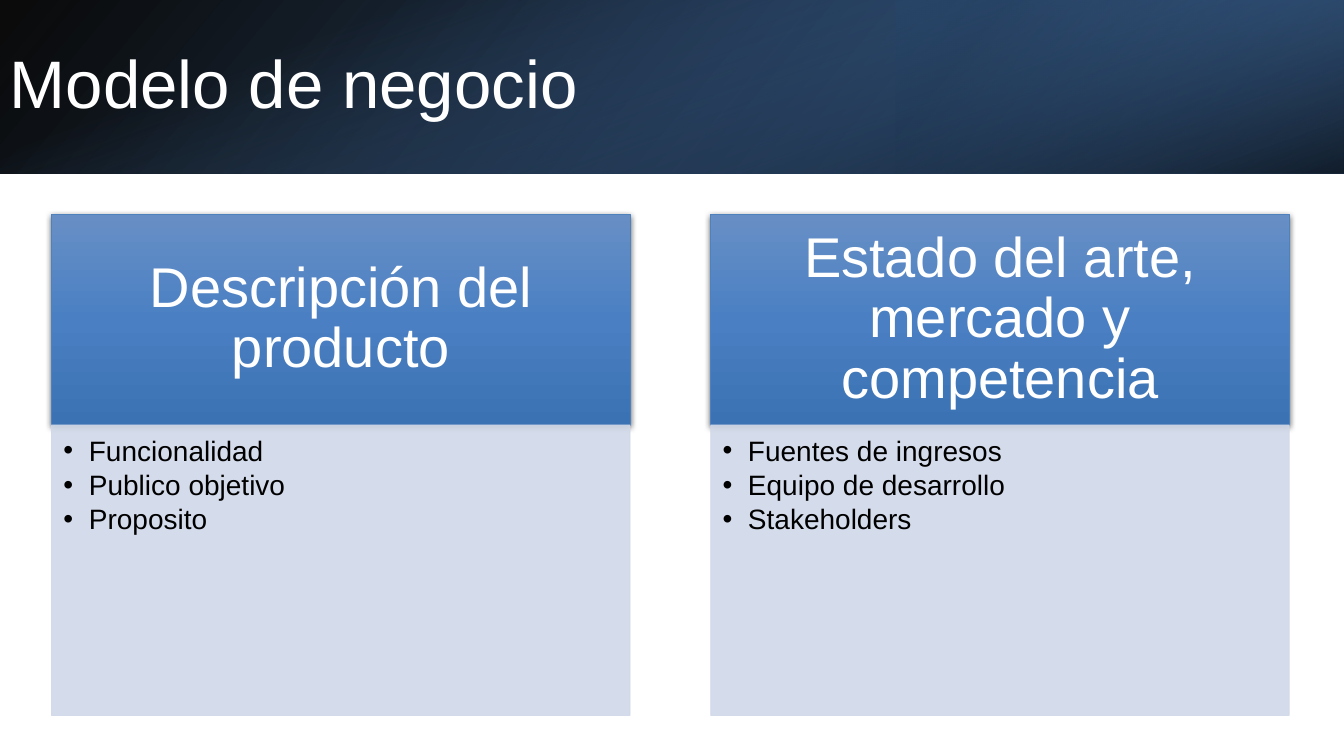
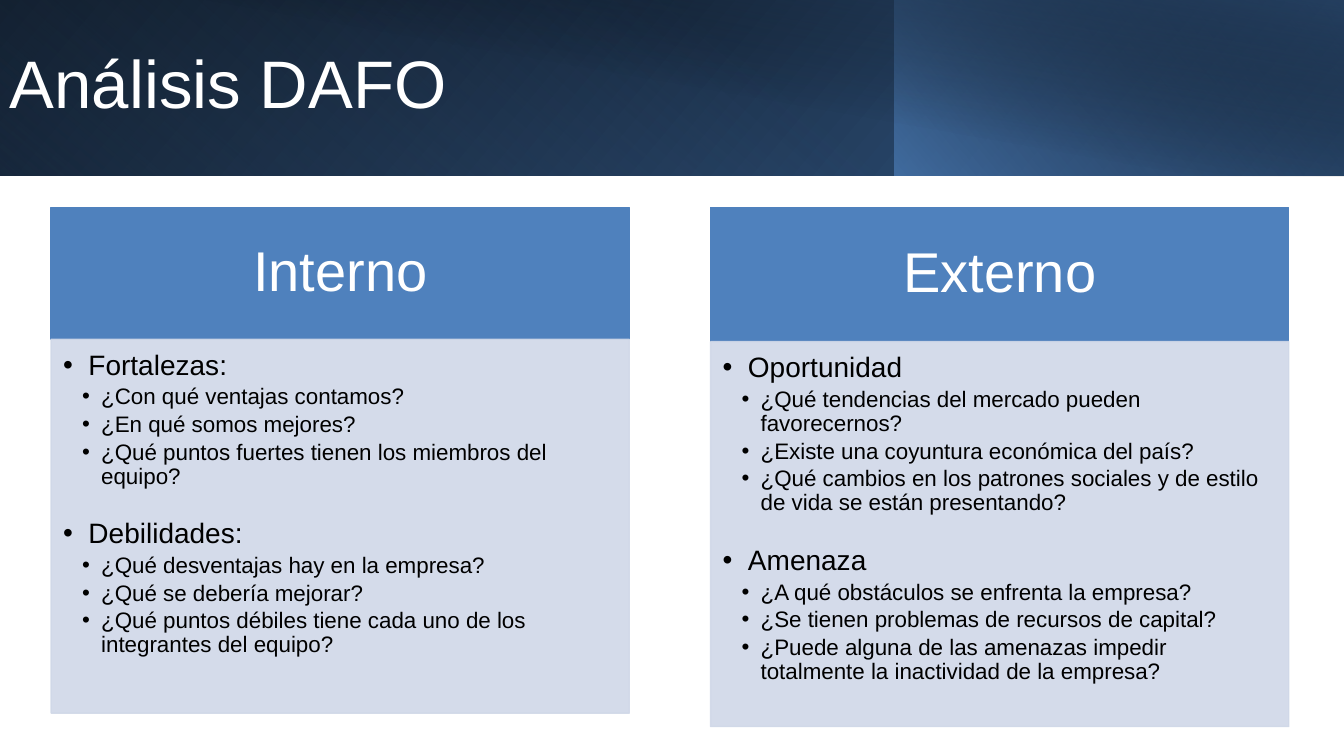
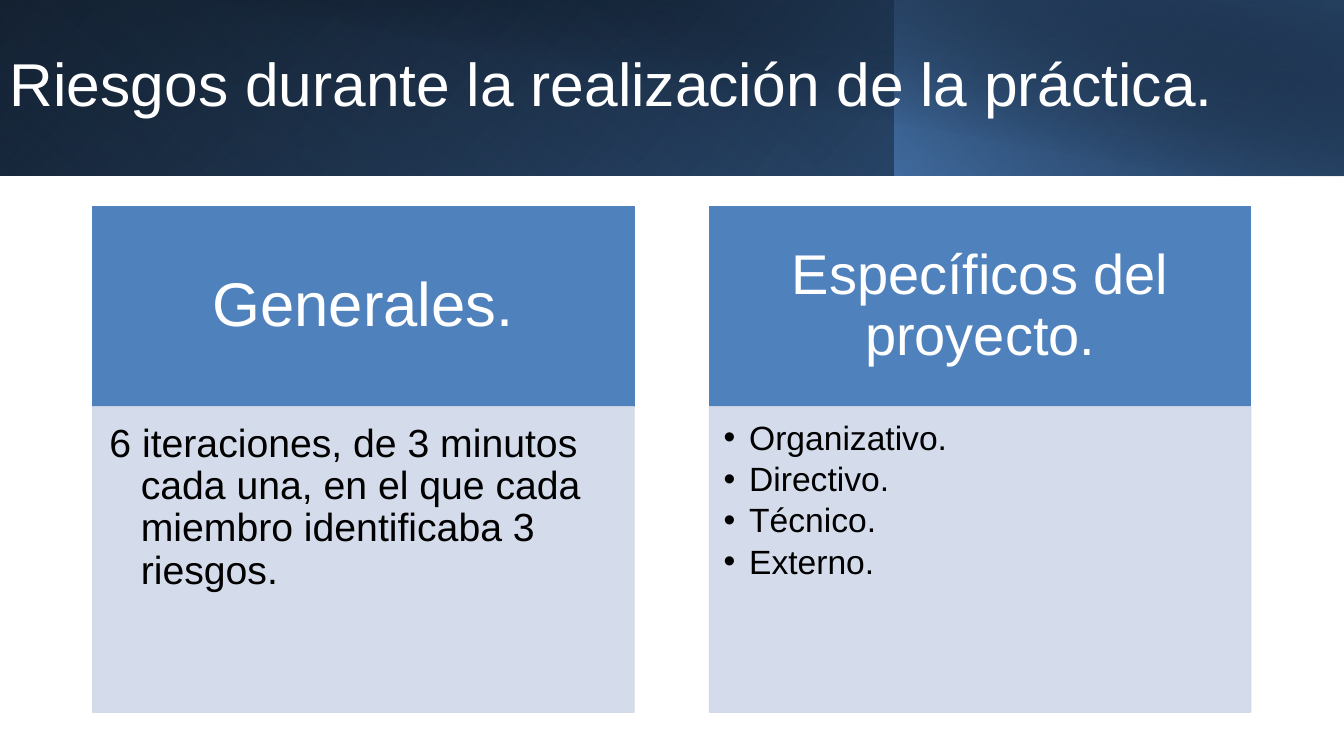
from lxml import etree
from pptx import Presentation
from pptx import util as u
from pptx.dml.color import RGBColor
from pptx.enum import shapes, text
from pptx.oxml.ns import qn

FONT = "Arial"
BLACK = RGBColor(0x00, 0x00, 0x00)
WHITE = RGBColor(0xFF, 0xFF, 0xFF)
BLUE = RGBColor(0x4F, 0x81, 0xBD)
DEEP_BLUE = RGBColor(0x37, 0x60, 0x92)
NAVY = RGBColor(0x25, 0x40, 0x61)
PALE = RGBColor(0xD0, 0xD8, 0xE8)
GLOSS = (0, RGBColor(0x68, 0x8F, 0xC5), 100), (50, RGBColor(0x4A, 0x80, 0xC3), 100), (100, RGBColor(0x3B, 0x72, 0xB3), 100)

SLIDE_W, SLIDE_H = 33.87, 19.05
TITLE_BOX = (0, 0.76, 33.5, 2.87)
BLANK_LINE = 19.5

OPENING_BAND = [
    dict(box=(0, 0, SLIDE_W, 4.37), stops=[(0, BLACK, 96), (100, DEEP_BLUE, 100)], angle=140, flip=True),
    dict(box=(22.58, 0, 11.29, 4.37), stops=[(19, NAVY, 68), (100, BLUE, 79)], angle=320, flip=True, turn=180),
    dict(box=(0, 0, SLIDE_W, 4.37), stops=[(23, BLUE, 0), (99, BLACK, 74)], angle=70),
]
INNER_BAND = [
    dict(box=(0, 0, SLIDE_W, 4.43), stops=[(0, BLACK, 100), (100, DEEP_BLUE, 100)], angle=140, flip=True),
    dict(box=(0, 0, 22.54, 4.43), stops=[(20, BLUE, 0), (100, NAVY, 55)], angle=230, flip=True, turn=180),
    dict(box=(22.54, 0, 11.33, 4.43), stops=[(0, BLUE, 66), (100, BLACK, 30)], angle=220, flip=True),
    dict(box=(1.27, 0, 32.6, 4.45), stops=[(50, BLACK, 0), (99, NAVY, 52)], angle=280),
]

SLIDES = [
    dict(
        title="Modelo de negocio", title_size=48, band=OPENING_BAND, glossy=True,
        top=5.39, width=14.58,
        panels=[
            dict(left=1.3, head="Descripción del producto", head_size=40, head_h=5.32, body_h=7.32, size=20,
                 items=["Funcionalidad", "Publico objetivo", "Proposito"]),
            dict(left=17.91, head="Estado del arte, mercado y competencia", head_size=40, head_h=5.32, body_h=7.32,
                 size=20, items=["Fuentes de ingresos", "Equipo de desarrollo", "Stakeholders"]),
        ],
    ),
    dict(
        title="Análisis DAFO", title_size=48, band=INNER_BAND, glossy=False,
        top=5.23, width=14.57,
        panels=[
            dict(left=1.29, head="Interno", head_size=40, head_h=3.32, body_h=9.42, size=20,
                 items=[
                     ("Fortalezas:", ["¿Con qué ventajas contamos?", "¿En qué somos mejores?",
                                      "¿Qué puntos fuertes tienen los miembros del equipo?"]),
                     ("Debilidades:", ["¿Qué desventajas hay en la empresa?", "¿Qué se debería mejorar?",
                                       "¿Qué puntos débiles tiene cada uno de los integrantes del equipo?"]),
                 ]),
            dict(left=17.91, head="Externo", head_size=40, head_h=3.38, body_h=9.7, size=20,
                 items=[
                     ("Oportunidad", ["¿Qué tendencias del mercado pueden favorecernos?",
                                      "¿Existe una coyuntura económica del país?",
                                      "¿Qué cambios en los patrones sociales y de estilo de vida se están presentando?"]),
                     ("Amenaza", ["¿A qué obstáculos se enfrenta la empresa?",
                                  "¿Se tienen problemas de recursos de capital?",
                                  "¿Puede alguna de las amenazas impedir totalmente la inactividad de la empresa?"]),
                 ]),
        ],
    ),
    dict(
        title="Riesgos durante la realización de la práctica.", title_size=43.2, band=INNER_BAND, glossy=False,
        top=5.21, width=13.64,
        panels=[
            dict(left=2.34, head="Generales.", head_size=44, head_h=5.04, body_h=7.7, size=28, bullet=False, hang=0.79,
                 items=["6 iteraciones, de 3 minutos cada una, en el que cada miembro identificaba 3 riesgos."]),
            dict(left=17.88, head="Específicos del proyecto.", head_size=40, head_h=5.04, body_h=7.7, size=24,
                 items=["Organizativo.", "Directivo.", "Técnico.", "Externo."]),
        ],
    ),
]


def add_box(slide, box):
    rect = slide.shapes.add_shape(shapes.MSO_SHAPE.RECTANGLE, *map(u.Cm, box))
    rect.shadow.inherit = False
    return rect


def paint_gradient(rect, stops, angle):
    rect.fill.background()
    props = rect.element.spPr
    gradient = etree.Element(qn("a:gradFill"), rotWithShape="1")
    stop_list = etree.SubElement(gradient, qn("a:gsLst"))
    for place, colour, opacity in stops:
        stop = etree.SubElement(stop_list, qn("a:gs"), pos=str(place * 1000))
        tint = etree.SubElement(stop, qn("a:srgbClr"), val=str(colour))
        if opacity < 100:
            etree.SubElement(tint, qn("a:alpha"), val=str(opacity * 1000))
    etree.SubElement(gradient, qn("a:lin"), ang=str(angle * 60000), scaled="0")
    props.replace(props.find(qn("a:noFill")), gradient)


def paint_solid(rect, colour, line_width):
    rect.fill.solid()
    rect.fill.fore_color.rgb = colour
    rect.line.color.rgb = colour
    rect.line.width = u.Pt(line_width)


def cast_shadow(rect):
    effects = rect.element.spPr.find(qn("a:effectLst"))
    shadow = etree.SubElement(effects, qn("a:outerShdw"), blurRad="57150", dist="19050",
                              dir="5400000", algn="ctr", rotWithShape="0")
    tint = etree.SubElement(shadow, qn("a:srgbClr"), val=str(BLACK))
    etree.SubElement(tint, qn("a:alpha"), val="63000")


def set_frame(frame, insets, anchor):
    frame.word_wrap = True
    frame.vertical_anchor = anchor
    frame.margin_left, frame.margin_top, frame.margin_right, frame.margin_bottom = map(u.Cm, insets)


def write(paragraph, words, size, colour, align=text.PP_ALIGN.LEFT):
    paragraph.alignment = align
    paragraph.line_spacing = 0.9
    run = paragraph.add_run()
    run.text = words
    run.font.name = FONT
    run.font.size = u.Pt(size)
    run.font.color.rgb = colour


def indent(paragraph, margin, hang, bullet):
    props = paragraph._p.get_or_add_pPr()
    props.set("marL", str(u.Cm(margin)))
    props.set("indent", str(-u.Cm(hang)))
    if bullet:
        etree.SubElement(props, qn("a:buFont"), typeface=FONT)
        etree.SubElement(props, qn("a:buChar"), char="•")
    else:
        etree.SubElement(props, qn("a:buNone"))


def add_header(slide, page):
    for layer in page["band"]:
        strip = add_box(slide, layer["box"])
        strip.line.fill.background()
        paint_gradient(strip, layer["stops"], layer["angle"])
        strip.rotation = layer.get("turn", 0)
        if layer.get("flip"):
            strip.element.spPr.find(qn("a:xfrm")).set("flipH", "1")
    title = slide.shapes.add_textbox(*map(u.Cm, TITLE_BOX)).text_frame
    set_frame(title, (0.25, 0.13, 0.25, 0.13), text.MSO_ANCHOR.MIDDLE)
    write(title.paragraphs[0], page["title"], page["title_size"], WHITE)


def list_lines(panel):
    size, hang = panel["size"], panel.get("hang", 0.64)
    for number, item in enumerate(panel["items"]):
        topic, questions = (item, []) if isinstance(item, str) else item
        yield topic, size, hang, hang, BLANK_LINE if questions and number else 0
        for question in questions:
            yield question, 16, 0.96, 0.48, 0


def add_panel(slide, page, panel):
    left, top, width = panel["left"], page["top"], page["width"]
    line_width = 0.5 if page["glossy"] else 1

    head = add_box(slide, (left, top, width, panel["head_h"]))
    paint_solid(head, BLUE, line_width)
    if page["glossy"]:
        paint_gradient(head, GLOSS, 90)
        cast_shadow(head)
    side, edge = panel["head_size"] * 0.02, panel["head_size"] * 0.0115
    set_frame(head.text_frame, (side, edge, side, edge), text.MSO_ANCHOR.MIDDLE)
    write(head.text_frame.paragraphs[0], panel["head"], panel["head_size"], WHITE, text.PP_ALIGN.CENTER)

    body = add_box(slide, (left, top + panel["head_h"], width, panel["body_h"]))
    paint_solid(body, PALE, line_width)
    for tint in body.element.spPr.iter(qn("a:srgbClr")):
        etree.SubElement(tint, qn("a:alpha"), val="90000")
    frame = body.text_frame
    set_frame(frame, [panel["size"] * share for share in (0.015, 0.015, 0.02, 0.0215)], text.MSO_ANCHOR.TOP)
    for number, (words, size, margin, hang, gap) in enumerate(list_lines(panel)):
        paragraph = frame.add_paragraph() if number else frame.paragraphs[0]
        write(paragraph, words, size, BLACK)
        paragraph.space_before = u.Pt(gap)
        paragraph.space_after = u.Pt(size * 0.15)
        indent(paragraph, margin, hang, panel.get("bullet", True))


def main():
    deck = Presentation()
    deck.slide_width, deck.slide_height = u.Cm(SLIDE_W), u.Cm(SLIDE_H)
    for page in SLIDES:
        slide = deck.slides.add_slide(deck.slide_layouts[6])
        add_header(slide, page)
        for panel in page["panels"]:
            add_panel(slide, page, panel)
    deck.save("out.pptx")


if __name__ == "__main__":
    main()
